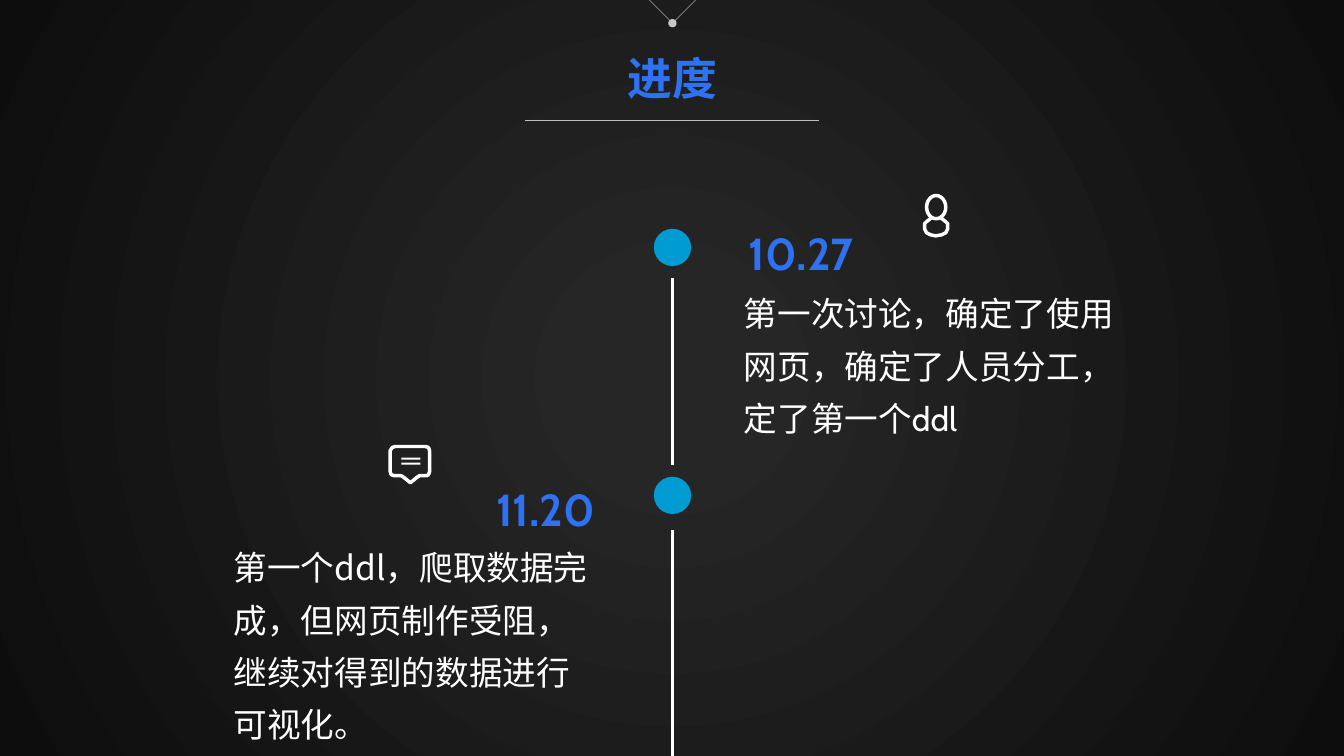
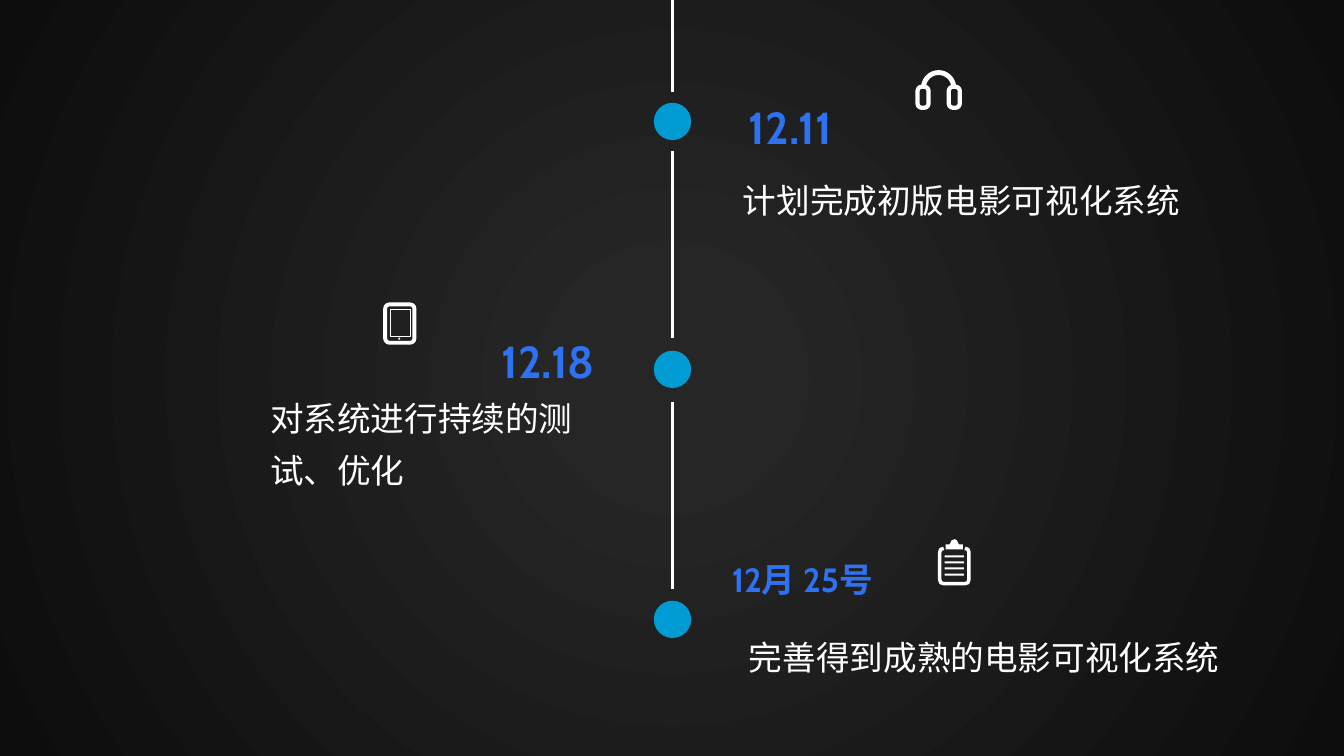
import math

import lxml.etree
import pptx
import pptx.dml.color
import pptx.enum.shapes
import pptx.enum.text
import pptx.oxml.ns
import pptx.util

Inches = pptx.util.Inches
Pt = pptx.util.Pt
SHAPE = pptx.enum.shapes.MSO_SHAPE
ALIGN = pptx.enum.text.PP_ALIGN
qn = pptx.oxml.ns.qn
rgb = pptx.dml.color.RGBColor.from_string

WHITE, ACCENT, DOT_BLUE, RULE_GREY = "FFFFFF", "2E72F1", "009BD2", "BFBFBF"
LATIN, CHINESE = "Cabin", "Noto Sans CJK SC"
AXIS_X, DOT_SIZE = 6.67, 0.37


def write(frame, wording, size, colour, bold=False, align=ALIGN.LEFT, spacing=1.0, font=LATIN):
    """Fill a text frame with one paragraph that sizes its box."""
    frame.auto_size = pptx.enum.text.MSO_AUTO_SIZE.SHAPE_TO_FIT_TEXT
    frame.vertical_anchor = pptx.enum.text.MSO_ANCHOR.TOP
    paragraph = frame.paragraphs[0]
    paragraph.alignment = align
    paragraph.line_spacing = spacing
    run = paragraph.add_run()
    run.text = wording
    run.font.size = Pt(size)
    run.font.bold = bold
    run.font.name = font
    run.font.color.rgb = rgb(colour)
    lxml.etree.SubElement(run.font._element, qn("a:ea"), typeface=CHINESE)


def draw_line(slide, start, end, colour, weight):
    line = slide.shapes.add_connector(
        pptx.enum.shapes.MSO_CONNECTOR.STRAIGHT, *[Inches(v) for v in (*start, *end)])
    line.line.color.rgb = rgb(colour)
    line.line.width = Pt(weight)
    lxml.etree.SubElement(line._element.spPr, qn("a:effectLst"))
    return line


# Icon parts: (preset, box, weight, corner) or (points, closed, weight); weight 0 is solid.
head_and_shoulders = [
    (SHAPE.OVAL, (9.19, 1.94, 0.19, 0.23), 2.5, None),
    ([(9.24, 2.16), (9.19, 2.2), (9.17, 2.22), (9.17, 2.27), (9.19, 2.31), (9.23, 2.33),
      (9.28, 2.34), (9.34, 2.33), (9.38, 2.31), (9.4, 2.27), (9.4, 2.22), (9.38, 2.2),
      (9.33, 2.16)], False, 2.5),
]
speech_bubble = [
    ([(3.92, 4.43), (4.22, 4.43), (4.25, 4.44), (4.26, 4.47), (4.26, 4.68), (4.25, 4.71),
      (4.23, 4.72), (4.16, 4.72), (4.13, 4.74), (4.07, 4.79), (4.01, 4.74), (3.98, 4.72),
      (3.91, 4.72), (3.88, 4.71), (3.87, 4.68), (3.87, 4.47), (3.89, 4.44)], True, 2.5),
    *[(SHAPE.RECTANGLE, (3.98, top, 0.19, 0.02), 0, None) for top in (4.54, 4.59)],
]
headband = [(9.31 + 0.15 * math.cos(math.radians(a)), 0.87 - 0.15 * math.sin(math.radians(a)))
            for a in range(0, 181, 10)]
headphones = [
    (headband, False, 3.5),
    *[(SHAPE.ROUNDED_RECTANGLE, (left, 0.86, 0.11, 0.21), 3, 0.4) for left in (9.1, 9.41)],
]
tablet = [
    (SHAPE.ROUNDED_RECTANGLE, (3.82, 3.02, 0.29, 0.38), 2.75, 0.14),
    (SHAPE.RECTANGLE, (3.87, 3.07, 0.2, 0.27), 0.75, None),
    (SHAPE.RECTANGLE, (3.95, 3.35, 0.02, 0.02), 0, None),
]
clipboard = [
    ([(9.36, 5.44), (9.33, 5.45), (9.32, 5.48), (9.32, 5.75), (9.33, 5.78), (9.36, 5.79),
      (9.57, 5.79), (9.6, 5.78), (9.61, 5.75), (9.61, 5.48), (9.6, 5.45), (9.57, 5.44)],
     False, 2.5),
    ([(9.38, 5.45), (9.38, 5.4), (9.42, 5.4), (9.44, 5.36), (9.47, 5.35), (9.49, 5.36),
      (9.51, 5.4), (9.55, 5.4), (9.55, 5.45)], True, 0),
    *[(SHAPE.RECTANGLE, (9.37, 5.51 + 0.06 * i, 0.19, 0.02), 0, None) for i in range(4)],
]

# Milestone: dot top, date, date box, date size, date alignment, details, details box, font, icon
timeline = [
    {
        "title": "进度",
        "segments": [(2.76, 4.61), (5.26, 7.5)],
        "milestones": [
            (2.27, "10.27", (7.33, 2.19, 2.39, 0.64), 32, ALIGN.LEFT,
             "第一次讨论，确定了使用网页，确定了人员分工，定了第一个ddl",
             (7.28, 2.74, 4.12, 1.68), LATIN, head_and_shoulders),
            (4.73, "11.20", (3.61, 4.73, 2.39, 0.64), 32, ALIGN.RIGHT,
             "第一个ddl，爬取数据完成，但网页制作受阻，继续对得到的数据进行可视化。",
             (2.22, 5.26, 3.78, 2.2), CHINESE, speech_bubble),
        ],
    },
    {
        "title": None,
        "segments": [(0, 0.91), (1.5, 3.35), (3.99, 5.84)],
        "milestones": [
            (1.02, "12.11", (7.33, 0.94, 2.39, 0.64), 32, ALIGN.LEFT,
             "计划完成初版电影可视化系统", (7.27, 1.62, 4.81, 0.57), LATIN, headphones),
            (3.48, "12.18", (3.61, 3.26, 2.39, 0.64), 32, ALIGN.RIGHT,
             "对系统进行持续的测试、优化", (2.58, 3.78, 3.42, 1.1), LATIN, tablet),
            (5.96, "12月 25号", (7.16, 5.5, 2.39, 0.5), 24, ALIGN.LEFT,
             "完善得到成熟的电影可视化系统", (7.33, 6.15, 5.18, 0.63), LATIN, clipboard),
        ],
    },
]

deck = pptx.Presentation()
deck.slide_width, deck.slide_height = Inches(13.33), Inches(7.5)

# Dark radial background shared through the master
backdrop = deck.slide_master.background.fill
backdrop.gradient()
for stop, (position, colour) in zip(backdrop.gradient_stops, [(0.11, "262626"), (1, "0D0D0D")]):
    stop.position = position
    stop.color.rgb = rgb(colour)
gradient = deck.slide_master.element.find(".//" + qn("a:gradFill"))
gradient.remove(gradient.find(qn("a:lin")))
radial = lxml.etree.SubElement(gradient, qn("a:path"), path="circle")
lxml.etree.SubElement(radial, qn("a:fillToRect"), l="50000", t="50000", r="50000", b="50000")

title_only, blank = deck.slide_layouts[5], deck.slide_layouts[6]
for part in timeline:
    slide = deck.slides.add_slide(title_only if part["title"] else blank)

    if part["title"]:
        heading = slide.shapes.title
        heading.left, heading.top, heading.width, heading.height = [
            Inches(v) for v in (6.12, 0.45, 1.1, 0.64)]
        heading.text_frame.word_wrap = False
        write(heading.text_frame, part["title"], 32, ACCENT, True, ALIGN.CENTER)
        draw_line(slide, (5.21, 1.19), (8.12, 1.19), RULE_GREY, 0.5)
        for side in (-1, 1):
            ray = draw_line(slide, (AXIS_X + side * 0.23, 0), (AXIS_X, 0.23), WHITE, 0.5)
            stroke = ray.line._get_or_add_ln()
            lxml.etree.SubElement(stroke.find(".//" + qn("a:srgbClr")), qn("a:alpha"), val="50000")
            lxml.etree.SubElement(stroke, qn("a:tailEnd"), type="oval")

    for top, bottom in part["segments"]:
        draw_line(slide, (AXIS_X, top), (AXIS_X, bottom), WHITE, 1.5)

    for dot_top, date, date_box, date_size, side, details, details_box, font, icon in part["milestones"]:
        dot = slide.shapes.add_shape(
            SHAPE.OVAL, Inches(AXIS_X - DOT_SIZE / 2), Inches(dot_top),
            Inches(DOT_SIZE), Inches(DOT_SIZE))
        dot.shadow.inherit = False
        dot.fill.solid()
        dot.fill.fore_color.rgb = rgb(DOT_BLUE)
        dot.line.fill.background()

        details_frame = slide.shapes.add_textbox(*[Inches(v) for v in details_box]).text_frame
        details_frame.word_wrap = True
        write(details_frame, details, 24, WHITE, spacing=1.3, font=font)
        date_frame = slide.shapes.add_textbox(*[Inches(v) for v in date_box]).text_frame
        date_frame.word_wrap = True
        write(date_frame, date, date_size, ACCENT, True, side)

        symbol = slide.shapes.add_group_shape().shapes
        for outline, *geometry in icon:
            if isinstance(outline, list):
                closed, weight = geometry
                points = [(Inches(x), Inches(y)) for x, y in outline]
                builder = symbol.build_freeform(*points[0])
                builder.add_line_segments(points[1:], close=closed)
                piece = builder.convert_to_shape()
            else:
                box, weight, corner = geometry
                piece = symbol.add_shape(outline, *[Inches(v) for v in box])
                if corner:
                    piece.adjustments[0] = corner
            piece.shadow.inherit = False
            if weight:
                piece.fill.background()
                piece.line.color.rgb = rgb(WHITE)
                piece.line.width = Pt(weight)
            else:
                piece.fill.solid()
                piece.fill.fore_color.rgb = rgb(WHITE)
                piece.line.fill.background()

deck.save("out.pptx")
